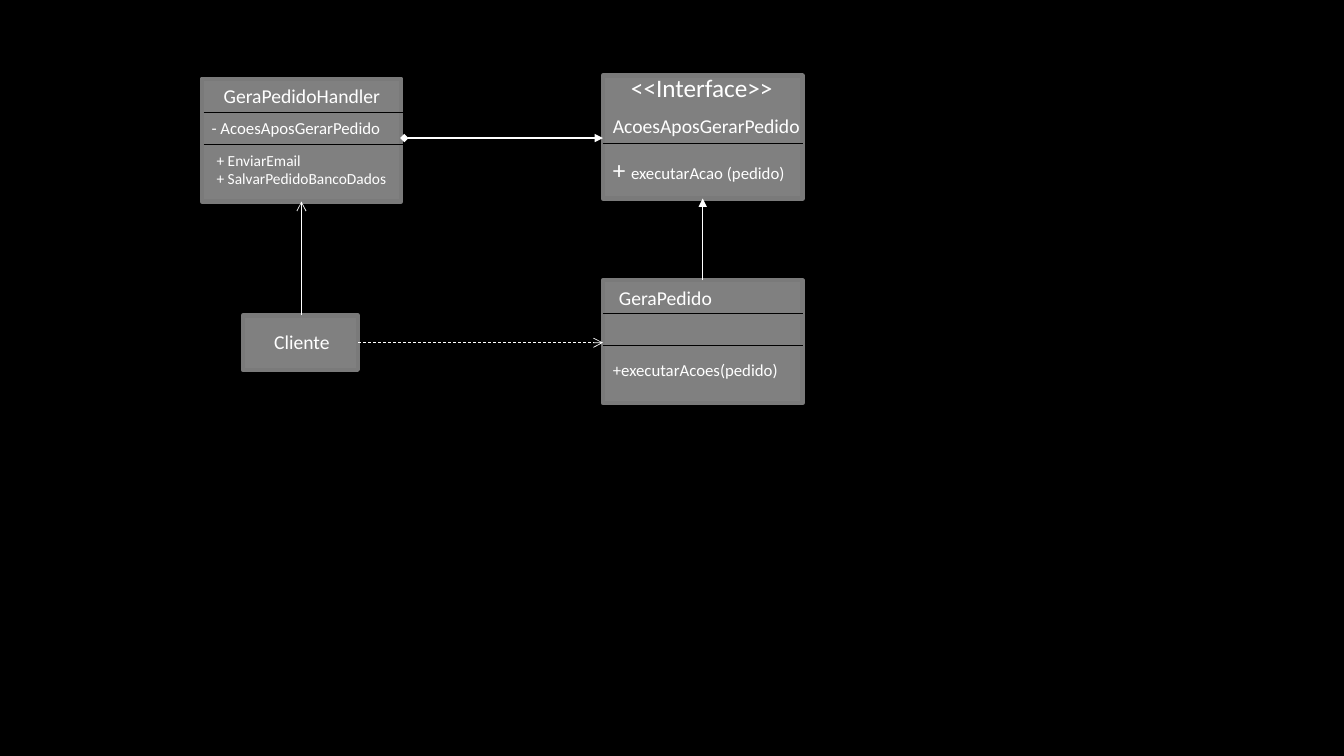
"""Class diagram of an order handler, its interface, its action and its client."""
from dataclasses import dataclass

from lxml.etree import SubElement
from pptx import Presentation
from pptx.dml.color import RGBColor
from pptx.enum.dml import MSO_LINE
from pptx.enum.shapes import MSO_CONNECTOR, MSO_SHAPE
from pptx.enum.text import MSO_AUTO_SIZE
from pptx.oxml.ns import qn
from pptx.util import Inches, Pt


@dataclass(frozen=True)
class Theme:
    font: str = "Calibri"
    background: RGBColor = RGBColor(0, 0, 0)
    divider: RGBColor = RGBColor(0, 0, 0)
    fill: RGBColor = RGBColor(0x80, 0x80, 0x80)
    border: RGBColor = RGBColor(0x7A, 0x7A, 0x7A)
    ink: RGBColor = RGBColor(0xFF, 0xFF, 0xFF)
    stereotype: int = 18
    name: int = 14
    member: int = 12
    method: int = 11


theme = Theme()
deck = Presentation()
deck.slide_width, deck.slide_height = Inches(13.33), Inches(7.5)
page = deck.slides.add_slide(deck.slide_layouts[6])
page.background.fill.solid()
page.background.fill.fore_color.rgb = theme.background

left_column, right_column = 2, 5.98
class_width, class_height = 1.98, 1.22
handler_top, interface_top, action_top = 0.78, 0.75, 2.78
client_left, client_top, client_width, client_height = 2.41, 3.13, 1.14, 0.54
name_row, field_row = 0.33, 0.65
client_middle = client_top + client_height / 2
client_center = left_column + class_width / 2
right_center = right_column + class_width / 2


def add_line(start, end, color, weight, head=None, tail=None, dash=None):
    line = page.shapes.add_connector(
        MSO_CONNECTOR.STRAIGHT, *[Inches(value) for value in (*start, *end)])
    line.line.color.rgb = color
    line.line.width = Pt(weight)
    if dash:
        line.line.dash_style = dash
    outline = line.line._get_or_add_ln()
    for tag, kind in (("a:headEnd", head), ("a:tailEnd", tail)):
        if kind:
            SubElement(outline, qn(tag)).set("type", kind)
    SubElement(line._element.spPr, qn("a:effectLst"))


def add_text(left, top, width, height, paragraphs):
    box = page.shapes.add_textbox(*[Inches(value) for value in (left, top, width, height)])
    frame = box.text_frame
    frame.word_wrap = False
    frame.auto_size = MSO_AUTO_SIZE.SHAPE_TO_FIT_TEXT
    for index, runs in enumerate(paragraphs):
        para = frame.add_paragraph() if index else frame.paragraphs[0]
        for text, size in runs:
            span = para.add_run()
            span.text = text
            span.font.name = theme.font
            span.font.size = Pt(size)
            span.font.color.rgb = theme.ink


class_boxes = [
    (left_column, handler_top, class_width, class_height),
    (right_column, interface_top, class_width, class_height),
    (client_left, client_top, client_width, client_height),
    (right_column, action_top, class_width, class_height),
]
for bounds in class_boxes:
    box = page.shapes.add_shape(MSO_SHAPE.RECTANGLE, *[Inches(value) for value in bounds])
    box.shadow.inherit = False
    box.fill.solid()
    box.fill.fore_color.rgb = theme.fill
    box.line.color.rgb = theme.border
    box.line.width = Pt(3)

dividers = [
    (left_column + 0.02, handler_top + name_row),
    (left_column + 0.02, handler_top + field_row),
    (right_column, interface_top + 0.67),
    (right_column, action_top + name_row),
    (right_column, action_top + field_row),
]
for left, top in dividers:
    add_line((left, top), (left + class_width, top), theme.divider, 0.5)

labels = [
    (2.12, handler_top, 1.77, 0.34, [[("GeraPedidoHandler", theme.name)]]),
    (left_column, 1.12, 1.9, 0.5, [[("- AcoesAposGerarPedido", theme.member)]]),
    (2.05, 1.45, 1.9, 0.47, [[("+ EnviarEmail", theme.method)],
                             [("+ SalvarPedidoBancoDados", theme.method)]]),
    (6.16, 0.67, 1.62, 0.4, [[("<<Interface>>", theme.stereotype)]]),
    (right_column, 1.08, 2.08, 0.34, [[("AcoesAposGerarPedido", theme.name)]]),
    (6.04, 2.79, 1.14, 0.34, [[("GeraPedido", theme.name)]]),
    (right_column, 1.48, 1.93, 0.4, [[("+ ", theme.stereotype),
                                      ("executarAcao (pedido)", theme.member)]]),
    (right_column, 3.52, 1.86, 0.3, [[("+executarAcoes(pedido)", theme.member)]]),
    (2.62, 3.22, 0.76, 0.34, [[("Cliente", theme.name)]]),
]
for label in labels:
    add_text(*label)

add_line((client_center, client_top), (client_center, handler_top + class_height),
         theme.ink, 0.5, tail="arrow")
add_line((client_left + client_width, client_middle), (right_column, client_middle),
         theme.ink, 0.5, tail="arrow", dash=MSO_LINE.DASH)
add_line((left_column + class_width + 0.03, 1.37), (right_column, 1.37),
         theme.ink, 1, head="diamond", tail="triangle")
add_line((right_center, action_top), (right_center, interface_top + class_height),
         theme.ink, 0.5, tail="triangle")

deck.save("out.pptx")
